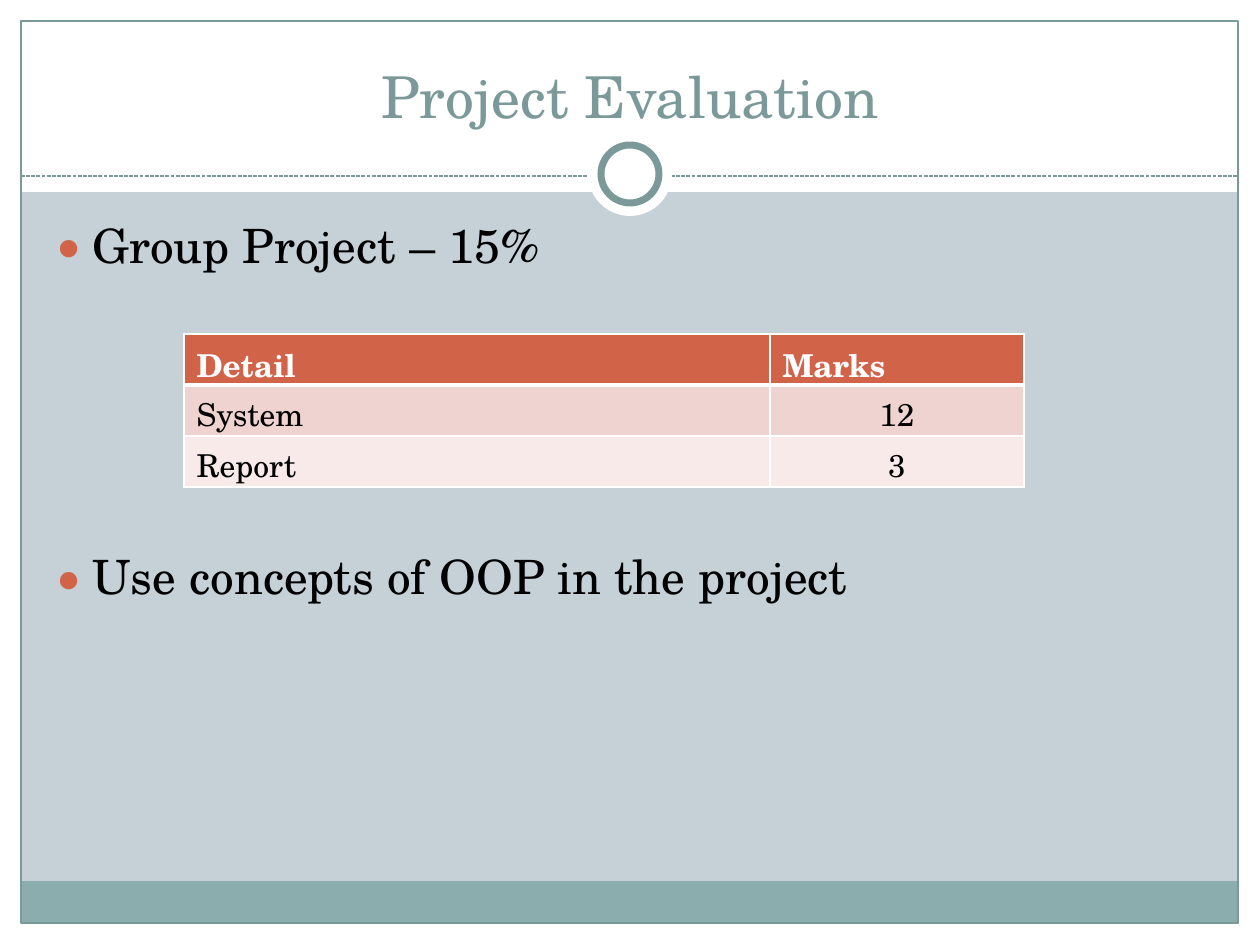
from lxml.etree import SubElement as Sub
from pptx import Presentation as Deck
from pptx.dml.color import RGBColor as Rgb
from pptx.enum.dml import MSO_LINE as Dash
from pptx.enum.shapes import MSO_CONNECTOR as Link, MSO_SHAPE as Kind
from pptx.enum.text import MSO_ANCHOR as Anchor, PP_ALIGN as Align
from pptx.oxml.ns import qn
from pptx.util import Pt

PX = 7257.6
FONT = "TeX Gyre Schola"
HUES = {
    "back": "C5D1D7", "white": "FFFFFF", "black": "000000",
    "teal": "7C999A", "foot": "8CADAE", "rust": "D16349",
    "rose": "EED3D0", "pale": "F7EAE9",
}
ROWS = [("Detail", "Marks"), ("System", "12"), ("Report", "3")]
FILLS = ["rust", "rose", "pale"]


def emu(*sizes):
    return [round(size * PX) for size in sizes]


def hue(name):
    return Rgb.from_string(HUES[name])


def paint(fill, name):
    fill.solid()
    fill.fore_color.rgb = hue(name)


def add_shape(slide, kind, box, fill=None, line=None, width=0.75):
    shape = slide.shapes.add_shape(kind, *emu(*box))
    shape.shadow.inherit = False
    if fill:
        paint(shape.fill, fill)
    else:
        shape.fill.background()
    if line:
        shape.line.color.rgb = hue(line)
        shape.line.width = Pt(width)
    else:
        shape.line.fill.background()


def add_rule(slide, left, right, top):
    rule = slide.shapes.add_connector(Link.STRAIGHT, *emu(left, top, right, top))
    rule.line.color.rgb = hue("teal")
    rule.line.width = Pt(0.75)
    rule.line.dash_style = Dash.SQUARE_DOT
    rule.line._ln.find(qn("a:prstDash")).set("val", "sysDash")
    Sub(rule._element.spPr, qn("a:effectLst"))


def set_font(para, size, color, bold=False):
    font = para.font
    font.name, font.size, font.bold = FONT, Pt(size), bold
    font.color.rgb = hue(color)


def add_text(slide, box):
    frame = slide.shapes.add_textbox(*emu(*box)).text_frame
    frame.word_wrap = True
    return frame


def add_title(slide, text, box):
    frame = add_text(slide, box)
    frame.vertical_anchor = Anchor.BOTTOM
    para = frame.paragraphs[0]
    para.text, para.alignment = text, Align.CENTER
    set_font(para, 33, "teal")


def add_dot(para):
    props = para._p.get_or_add_pPr()
    indent, = emu(38)
    props.set("marL", str(indent))
    props.set("indent", str(-indent))
    color = Sub(props, qn("a:buClr"))
    Sub(color, qn("a:srgbClr")).set("val", HUES["rust"])
    Sub(props, qn("a:buSzPct")).set("val", "85000")
    Sub(props, qn("a:buFont")).set("typeface", FONT)
    Sub(props, qn("a:buChar")).set("char", "●")


def add_list(slide, items, box):
    frame = add_text(slide, box)
    for num, (text, gap) in enumerate(items):
        para = frame.add_paragraph() if num else frame.paragraphs[0]
        para.text, para.space_before = text, Pt(gap)
        add_dot(para)
        set_font(para, 27, "black")


def add_edges(cell, base):
    props = cell._tc.get_or_add_tcPr()
    widths = {"L": 1, "R": 1, "T": 1, "B": base}
    for spot, (side, width) in enumerate(widths.items()):
        edge = Sub(props, qn(f"a:ln{side}"))
        edge.set("w", str(Pt(width)))
        fill = Sub(edge, qn("a:solidFill"))
        Sub(fill, qn("a:srgbClr")).set("val", HUES["white"])
        props.insert(spot, edge)


def add_marks(slide, box, cols):
    table = slide.shapes.add_table(len(ROWS), len(cols), *emu(*box)).table
    for col, width in zip(table.columns, emu(*cols)):
        col.width = width
    for row, texts in enumerate(ROWS):
        head = row == 0
        for col, text in enumerate(texts):
            cell = table.cell(row, col)
            paint(cell.fill, FILLS[row])
            add_edges(cell, 3 if head else 1)
            para = cell.text_frame.paragraphs[0]
            para.text = text
            set_font(para, 18, "white" if head else "black", head)
            if col and not head:
                para.alignment = Align.CENTER


def main():
    deck = Deck()
    deck.slide_width, deck.slide_height = emu(1260, 945)
    slide = deck.slides.add_slide(deck.slide_layouts[6])
    paint(slide.background.fill, "back")
    for box in [(0, 924, 1260, 21), (0, 0, 1260, 192),
                (0, 0, 21, 945), (1239, 0, 21, 945)]:
        add_shape(slide, Kind.RECTANGLE, box, "white")
    add_shape(slide, Kind.RECTANGLE, (21, 881, 1217, 43), "foot")
    add_shape(slide, Kind.RECTANGLE, (21, 21, 1217, 902), line="teal")
    add_rule(slide, 21, 1238, 176)
    add_shape(slide, Kind.OVAL, (588, 132, 84, 84), "white")
    add_shape(slide, Kind.OVAL, (601, 145, 58, 58), "white", "teal", 4)
    add_title(slide, "Project Evaluation", (42, 32, 1176, 104))
    items = [("Group Project – 15%", 5.4), ("Use concepts of OOP in the project", 157)]
    add_list(slide, items, (42, 210, 1172, 630))
    add_marks(slide, (184, 334, 840, 153), (586, 254))
    deck.save("out.pptx")


main()
